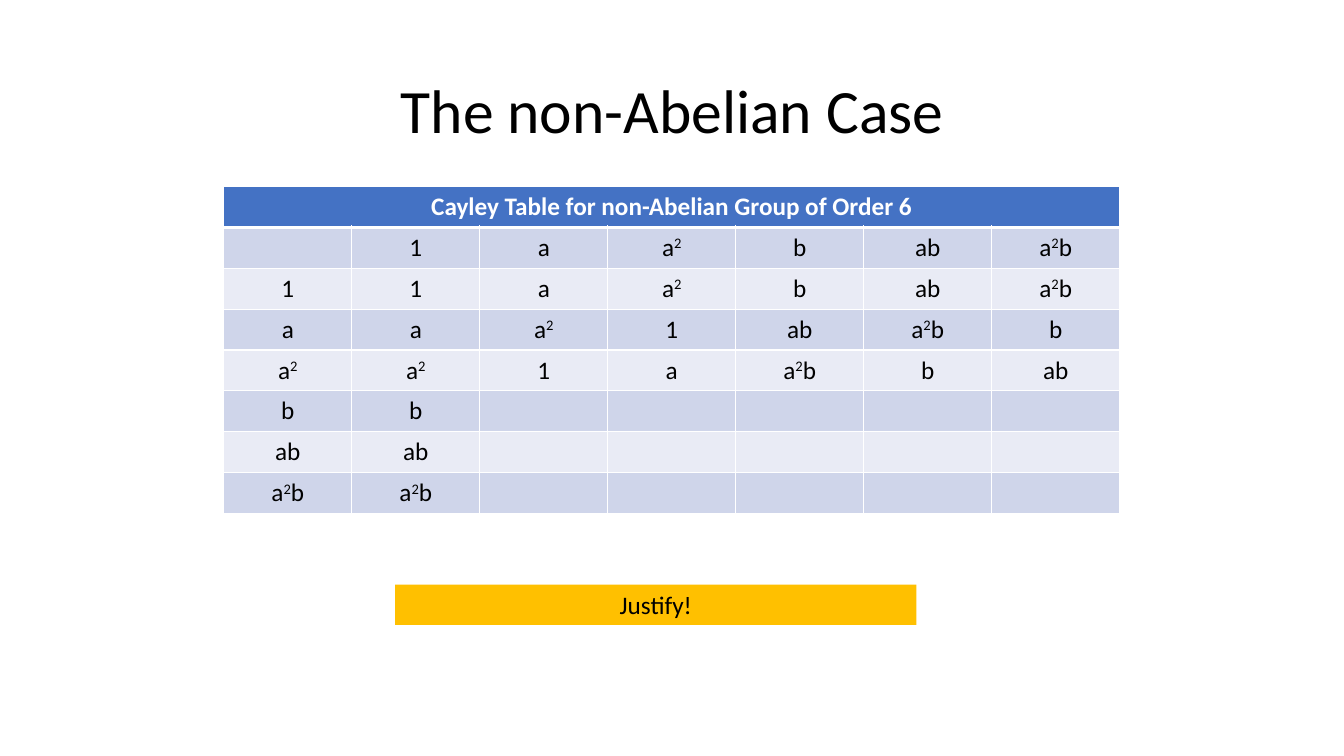
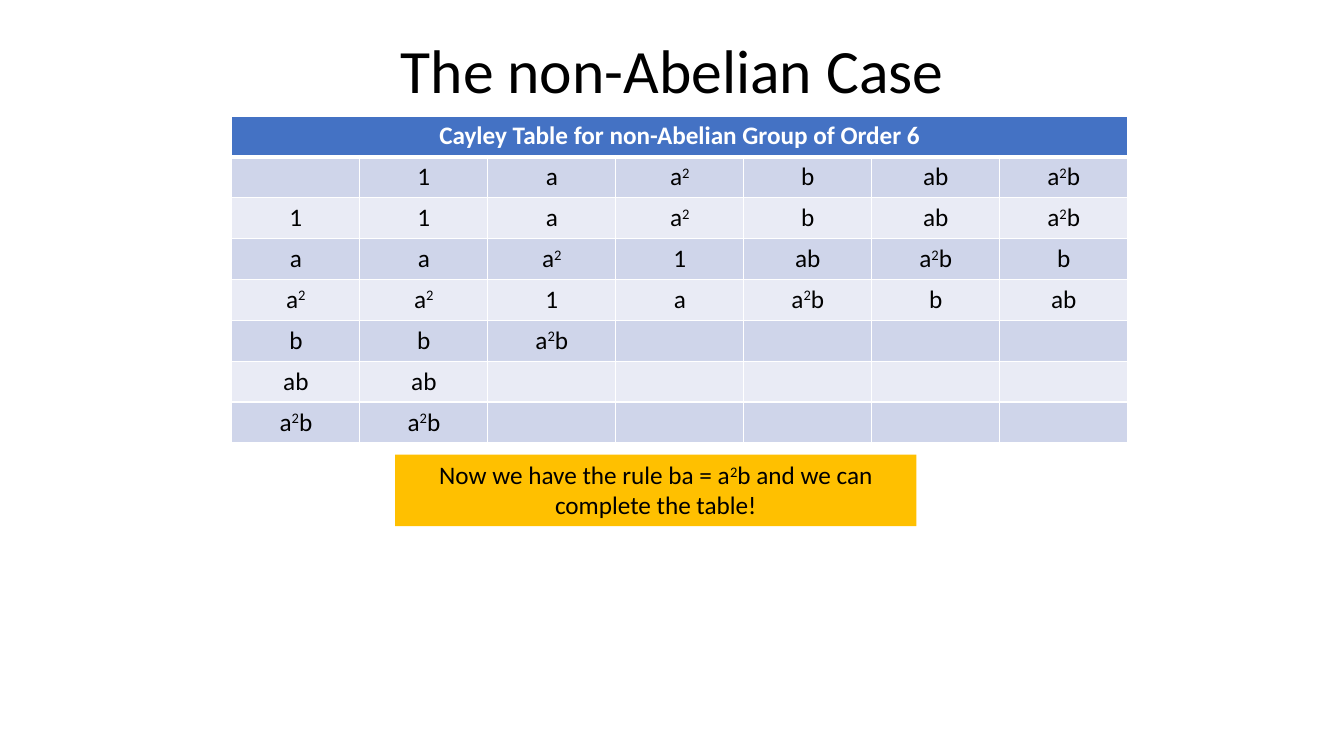
"""Build two slides on the Cayley table of the non-Abelian group of order 6."""
from lxml.etree import SubElement
from pptx import Presentation
from pptx.dml.color import RGBColor
from pptx.enum.shapes import MSO_SHAPE
from pptx.enum.text import MSO_ANCHOR, PP_ALIGN
from pptx.oxml.ns import qn
from pptx.util import Inches, Pt

FONT = "Calibri"
BLACK = RGBColor(0x00, 0x00, 0x00)
WHITE = RGBColor(0xFF, 0xFF, 0xFF)
BLUE = RGBColor(0x44, 0x72, 0xC4)
BANDS = [RGBColor(0xE9, 0xEB, 0xF5), RGBColor(0xCF, 0xD5, 0xEA)]
AMBER = RGBColor(0xFF, 0xC0, 0x00)

TITLE = "The non-Abelian Case"
CAPTION = "Cayley Table for non-Abelian Group of Order 6"
ELEMENTS = ["1", "a", "a²", "b", "ab", "a²b"]
PRODUCTS = [
    ELEMENTS,
    ["a", "a²", "1", "ab", "a²b", "b"],
    ["a²", "1", "a", "a²b", "b", "ab"],
    ["b"],
    ["ab"],
    ["a²b"],
]
CASES = [
    {"title_top": 0.4, "table_left": 2.22, "table_top": 1.85, "ba": [],
     "callout_top": 5.8, "callout_height": 0.4, "callout": "Justify!"},
    {"title_top": 0, "table_left": 2.3, "table_top": 1.15, "ba": ["a²b"],
     "callout_top": 4.51, "callout_height": 0.71,
     "callout": "Now we have the rule ba = a²b and we can complete the table!"},
]


def write(frame, text, size=18, color=BLACK, bold=False):
    """Write one centred paragraph, raising each square as a superscript run."""
    paragraph = frame.paragraphs[0]
    paragraph.alignment = PP_ALIGN.CENTER
    for part in text.replace("²", "|²|").split("|"):
        if not part:
            continue
        run = paragraph.add_run()
        run.text = part.replace("²", "2")
        run.font.name, run.font.size = FONT, Pt(size)
        run.font.color.rgb, run.font.bold = color, bold
        if part == "²":
            run._r.get_or_add_rPr().set("baseline", "30000")
    return paragraph


def style_cell(cell, fill, top=1, bottom=1):
    """Give a cell white borders of the given point widths and a solid fill."""
    properties = cell._tc.get_or_add_tcPr()
    for side, points in (("L", 1), ("R", 1), ("T", top), ("B", bottom)):
        border = SubElement(properties, qn(f"a:ln{side}"), w=str(Pt(points)))
        SubElement(SubElement(border, qn("a:solidFill")), qn("a:srgbClr"), val=str(WHITE))
    cell.fill.solid()
    cell.fill.fore_color.rgb = fill


prs = Presentation()
prs.slide_width, prs.slide_height = Inches(13.33), Inches(7.5)
column_count = len(ELEMENTS) + 1
row_count = len(ELEMENTS) + 2
table_width = prs.slide_width * 2 // 3
table_height = int(prs.slide_height * 0.432)

for case in CASES:
    slide = prs.slides.add_slide(prs.slide_layouts[5])

    title = slide.shapes.title
    title.left, title.top = Inches(0.92), Inches(case["title_top"])
    title.width, title.height = Inches(11.5), Inches(1.45)
    title.text_frame.vertical_anchor = MSO_ANCHOR.MIDDLE
    write(title.text_frame, TITLE, size=44).line_spacing = 0.9

    cayley = slide.shapes.add_table(
        row_count, column_count, Inches(case["table_left"]), Inches(case["table_top"]),
        table_width, table_height).table
    for column in cayley.columns:
        column.width = table_width // column_count
    for row in cayley.rows:
        row.height = table_height // row_count

    for cell in cayley.rows[0].cells:
        style_cell(cell, BLUE, bottom=3)
    cayley.cell(0, 0).merge(cayley.cell(0, column_count - 1))
    write(cayley.cell(0, 0).text_frame, CAPTION, color=WHITE, bold=True)

    body = [[""] + ELEMENTS]
    for element, products in zip(ELEMENTS, PRODUCTS):
        known = case["ba"] if element == "b" else []
        body.append([element] + products + known)
    for r, entries in enumerate(body, start=1):
        for c in range(column_count):
            cell = cayley.cell(r, c)
            style_cell(cell, BANDS[r % 2], top=3 if r == 1 else 1)
            if c < len(entries):
                write(cell.text_frame, entries[c])

    callout = slide.shapes.add_shape(
        MSO_SHAPE.RECTANGLE, Inches(3.92), Inches(case["callout_top"]),
        Inches(5.17), Inches(case["callout_height"]))
    callout.shadow.inherit = False
    callout.fill.solid()
    callout.fill.fore_color.rgb = AMBER
    callout.line.fill.background()
    callout.text_frame.word_wrap = True
    callout.text_frame.vertical_anchor = MSO_ANCHOR.TOP
    write(callout.text_frame, case["callout"])

prs.save("out.pptx")
